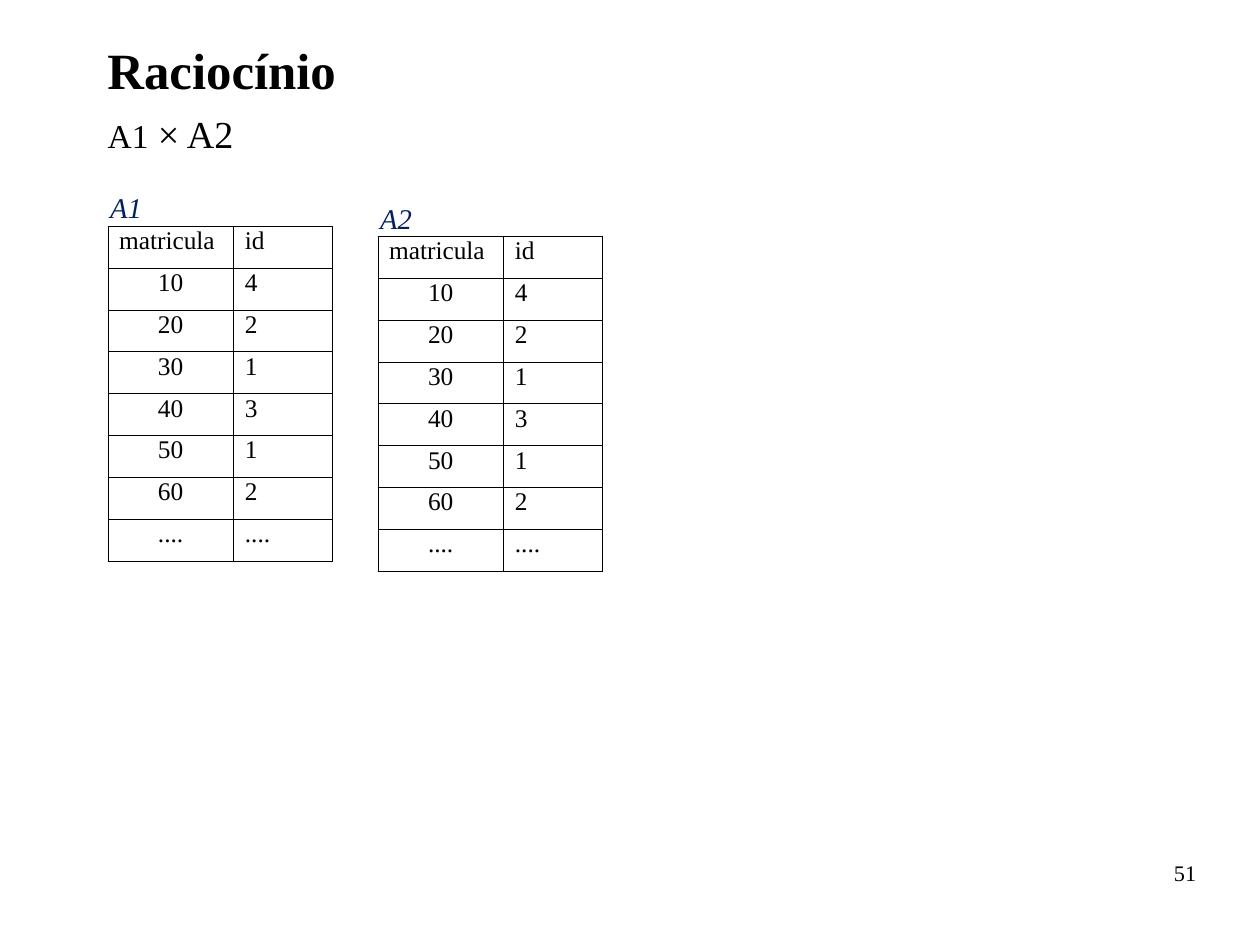
from lxml.etree import SubElement
from pptx import Presentation
from pptx.dml.color import RGBColor
from pptx.enum.text import MSO_ANCHOR as Anchor, PP_ALIGN as Align
from pptx.oxml.ns import qn
from pptx.util import Pt

BLACK = RGBColor(0x00, 0x00, 0x00)
NAVY = RGBColor(0x00, 0x20, 0x60)


class SlideBuilder:
    font_name = "Times New Roman"
    border_width = 0.06
    cell_size = 16
    column_widths = (79.2, 62.4)
    row_height = 26.37

    def __init__(self, slide):
        self.slide = slide

    def add_run(self, paragraph, text, size, color=BLACK, bold=False, italic=False):
        run = paragraph.add_run()
        run.text = text
        font = run.font
        font.name, font.size = self.font_name, Pt(size)
        font.bold, font.italic = bold, italic
        font.color.rgb = color

    def text(self, left, top, width, height, runs, align=Align.LEFT,
             insets=(0, 0), spacing=0.93, **style):
        box = self.slide.shapes.add_textbox(Pt(left), Pt(top), Pt(width), Pt(height))
        frame = box.text_frame
        frame.word_wrap = True
        frame.vertical_anchor = Anchor.TOP
        frame.margin_left = frame.margin_right = Pt(insets[0])
        frame.margin_top = frame.margin_bottom = Pt(insets[1])
        paragraph = frame.paragraphs[0]
        paragraph.alignment = align
        paragraph.line_spacing = spacing
        for text, size in runs:
            self.add_run(paragraph, text, size, **style)

    def border(self, cell):
        properties = cell._tc.get_or_add_tcPr()
        for position, side in enumerate(("a:lnL", "a:lnR", "a:lnT", "a:lnB")):
            line = SubElement(properties, qn(side), w=str(Pt(self.border_width)))
            fill = SubElement(line, qn("a:solidFill"))
            SubElement(fill, qn("a:srgbClr"), val=str(BLACK))
            properties.insert(position, line)

    def table(self, left, top, rows):
        frame = self.slide.shapes.add_table(
            len(rows), len(self.column_widths), Pt(left), Pt(top),
            Pt(sum(self.column_widths)), Pt(self.row_height * len(rows)))
        table = frame.table
        table.first_row = table.horz_banding = False
        for column, width in zip(table.columns, self.column_widths):
            column.width = Pt(width)
        for row_index, values in enumerate(rows):
            table.rows[row_index].height = Pt(self.row_height)
            for column_index, value in enumerate(values):
                cell = table.cell(row_index, column_index)
                cell.fill.background()
                cell.margin_left = cell.margin_right = Pt(7.2)
                cell.margin_top = cell.margin_bottom = Pt(3.6)
                paragraph = cell.text_frame.paragraphs[0]
                paragraph.line_spacing = 0.8
                centred = row_index > 0 and column_index == 0
                paragraph.alignment = Align.CENTER if centred else Align.LEFT
                self.add_run(paragraph, value, self.cell_size)
                self.border(cell)

    def relation(self, name, left, top, rows):
        self.table(left, top, rows)
        self.text(left - 5.6, top - 25.9, 152.6, 28.8, [(name, 18)],
                  insets=(7.2, 3.6), spacing=1, color=NAVY, italic=True)


def main():
    presentation = Presentation()
    presentation.slide_width, presentation.slide_height = Pt(793.75), Pt(595.25)
    slide = presentation.slides.add_slide(presentation.slide_layouts[6])
    builder = SlideBuilder(slide)

    # Title, expression and page number
    builder.text(67.7, 28.1, 686.2, 47.5, [("Raciocínio", 32)], bold=True)
    builder.text(67.9, 70.6, 686.2, 413.3, [("A1", 21), (" × A2", 24)],
                 insets=(0, 1.4))
    builder.text(568.6, 542.2, 185, 41, [("51", 14)], align=Align.RIGHT,
                 spacing=0.95)

    # The two relations of the product
    rows = [("matricula", "id"), ("10", "4"), ("20", "2"), ("30", "1"),
            ("40", "3"), ("50", "1"), ("60", "2"), ("....", "....")]
    builder.relation("A1", 67.9, 142.3, rows)
    builder.relation("A2", 238, 148.7, rows)

    presentation.save("out.pptx")


if __name__ == "__main__":
    main()
